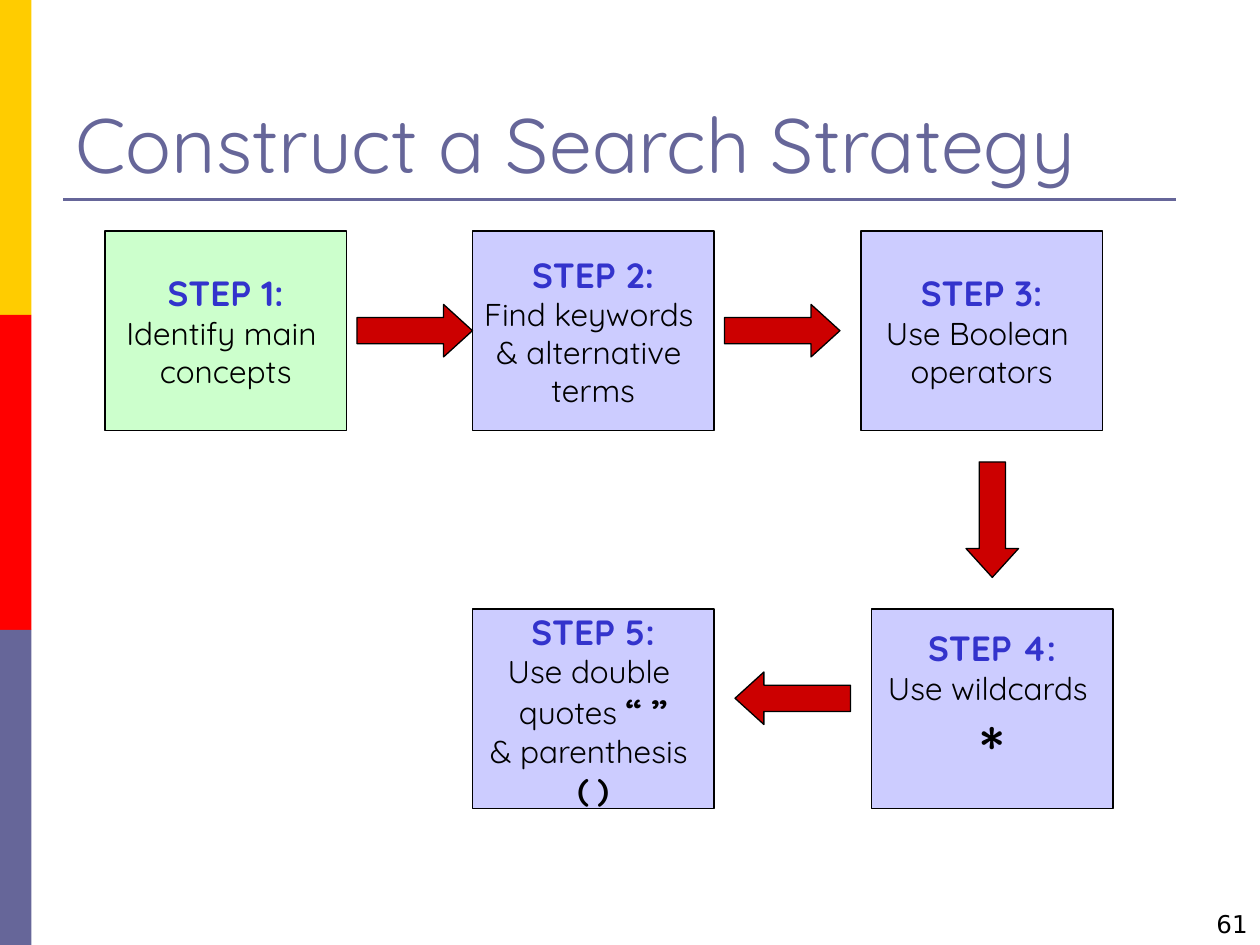
from pptx import Presentation
from pptx.dml.color import RGBColor
from pptx.enum.shapes import MSO_CONNECTOR, MSO_SHAPE
from pptx.enum.text import MSO_ANCHOR, PP_ALIGN
from pptx.oxml.ns import qn
from pptx.util import Emu, Pt
from lxml.etree import SubElement

PX = 9525
WIDTH, HEIGHT = 960, 720
FONT = "Quicksand"
NUMBER_FONT = "DejaVu Sans"

BLACK = RGBColor(0x00, 0x00, 0x00)
YELLOW = RGBColor(0xFF, 0xCC, 0x00)
RED = RGBColor(0xFF, 0x00, 0x00)
SLATE = RGBColor(0x66, 0x66, 0x99)
GREEN = RGBColor(0xCC, 0xFF, 0xCC)
LAVENDER = RGBColor(0xCC, 0xCC, 0xFF)
BLUE = RGBColor(0x33, 0x33, 0xCC)
ARROW_RED = RGBColor(0xCC, 0x00, 0x00)

STEP_SIZE = (184, 152)
ARROW_SIZE = (88, 40)

# Position, fill and body lines; each line is a list of (text, size, bold).
STEPS = [
    ((80, 176), GREEN, [[("Identify main ", 18, False)], [("concepts", 18, False)]]),
    ((360, 176), LAVENDER, [[("Find keywords ", 18, False)],
                            [("& alternative ", 18, False)],
                            [("terms", 18, False)]]),
    ((656, 176), LAVENDER, [[("Use Boolean ", 18, False)], [("operators", 18, False)]]),
    ((664, 464), LAVENDER, [[("Use wildcards ", 18, False)], [("*", 40, True)]]),
    ((360, 464), LAVENDER, [[("Use double ", 18, False)],
                            [("quotes ", 18, False), ("“ ”", 20, True)],
                            [("& parenthesis ", 18, False)],
                            [("( )", 18, True)]]),
]

# Position and rotation of the arrow after each step but the last.
ARROWS = [((272, 232), 0), ((552, 232), 0), ((712, 376), 90), ((560, 512), 180)]


def scaled(*lengths):
    return [Emu(length * PX) for length in lengths]


def add_run(paragraph, text, size, color, bold=False, font=FONT):
    run = paragraph.add_run()
    run.text = text
    run.font.name = font
    run.font.size = Pt(size)
    run.font.bold = bold
    run.font.color.rgb = color


def add_filled_shape(slide, kind, box, fill, outlined=True):
    shape = slide.shapes.add_shape(kind, *scaled(*box))
    shape.shadow.inherit = False
    shape.fill.solid()
    shape.fill.fore_color.rgb = fill
    if outlined:
        shape.line.color.rgb = BLACK
        shape.line.width = Pt(0.75)
    else:
        shape.line.fill.background()
    return shape


def add_side_bar(slide, left, top, width, height):
    colors = (YELLOW, RED, SLATE)
    band = height // len(colors)
    for index, color in enumerate(colors):
        add_filled_shape(slide, MSO_SHAPE.RECTANGLE,
                         (left, top + index * band, width, band), color, outlined=False)


def add_title(slide, left, top, width, height):
    """Fill the title placeholder and draw the rule under it."""
    title = slide.shapes.title
    title.left, title.top, title.width, title.height = scaled(left, top, width, height)
    frame = title.text_frame
    frame.word_wrap = True
    frame.vertical_anchor = MSO_ANCHOR.BOTTOM
    paragraph = frame.paragraphs[0]
    paragraph.alignment = PP_ALIGN.LEFT
    add_run(paragraph, "Construct a Search Strategy", 44, SLATE)

    rule_top = top + height + 3
    rule = slide.shapes.add_connector(
        MSO_CONNECTOR.STRAIGHT, *scaled(left, rule_top, left + 848, rule_top))
    rule.line.color.rgb = SLATE
    rule.line.width = Pt(1.5)
    SubElement(rule._element.spPr, qn("a:effectLst"))


def add_step(slide, number, position, fill, lines):
    shape = add_filled_shape(slide, MSO_SHAPE.RECTANGLE, (*position, *STEP_SIZE), fill)
    frame = shape.text_frame
    frame.word_wrap = False
    frame.vertical_anchor = MSO_ANCHOR.MIDDLE
    heading = frame.paragraphs[0]
    heading.alignment = PP_ALIGN.CENTER
    add_run(heading, f"STEP {number}:", 20, BLUE, bold=True)
    for line in lines:
        paragraph = frame.add_paragraph()
        paragraph.alignment = PP_ALIGN.CENTER
        for text, size, bold in line:
            add_run(paragraph, text, size, BLACK, bold)


def add_arrow(slide, position, rotation):
    arrow = add_filled_shape(slide, MSO_SHAPE.RIGHT_ARROW,
                             (*position, *ARROW_SIZE), ARROW_RED)
    arrow.adjustments[0] = 0.5
    arrow.adjustments[1] = 0.55
    arrow.rotation = rotation


def add_page_number(slide, left, top, width, height):
    frame = slide.shapes.add_textbox(*scaled(left, top, width, height)).text_frame
    frame.word_wrap = True
    frame.vertical_anchor = MSO_ANCHOR.BOTTOM
    paragraph = frame.paragraphs[0]
    paragraph.alignment = PP_ALIGN.RIGHT
    add_run(paragraph, "61", 14, BLACK, font=NUMBER_FONT)


def main():
    presentation = Presentation()
    presentation.slide_width, presentation.slide_height = scaled(WIDTH, HEIGHT)
    slide = presentation.slides.add_slide(presentation.slide_layouts[5])

    add_side_bar(slide, 0, 0, 24, HEIGHT)
    add_title(slide, 48, 29, 864, 120)
    for number, step in enumerate(STEPS, start=1):
        add_step(slide, number, *step)
    for position, rotation in ARROWS:
        add_arrow(slide, position, rotation)
    add_page_number(slide, 736, 672, 224, 48)

    presentation.save("out.pptx")


if __name__ == "__main__":
    main()
